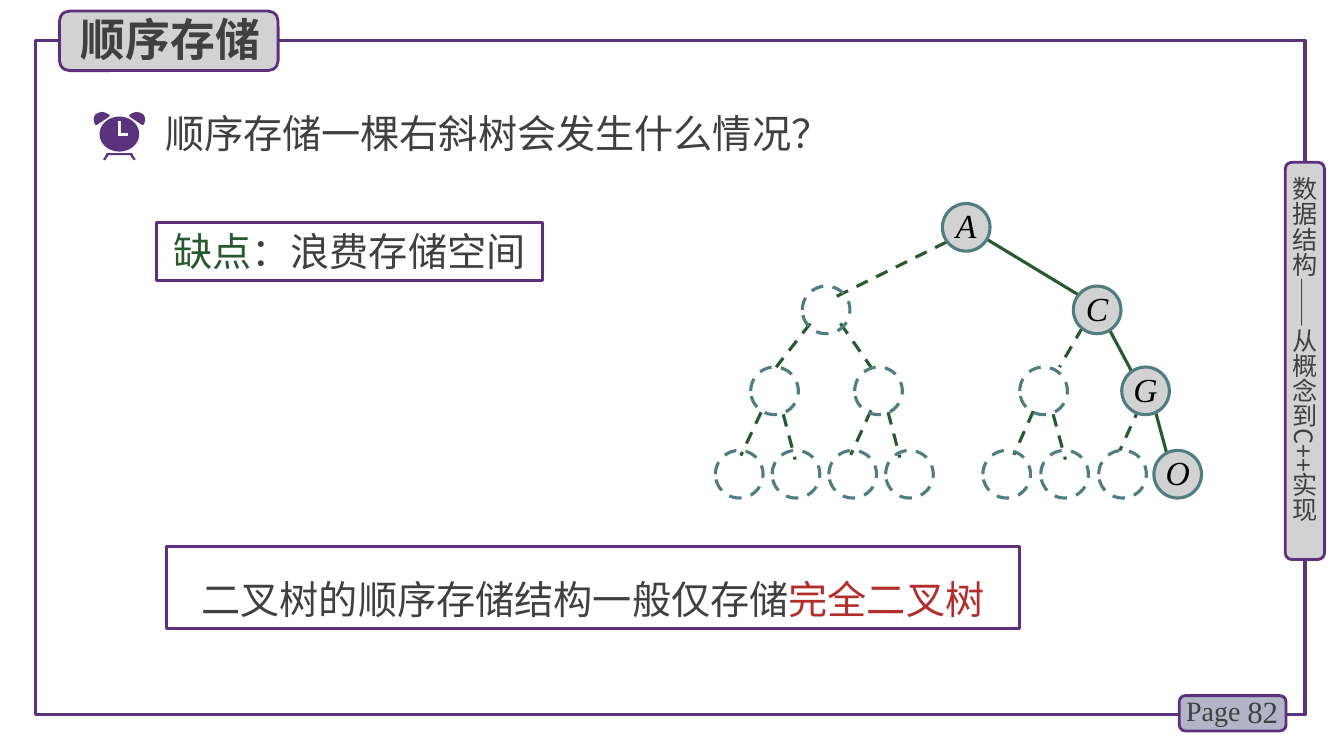
from dataclasses import dataclass
from math import cos, pi, sin

from lxml import etree
from pptx import Presentation
from pptx import util as u
from pptx.dml import color as dml_color
from pptx.enum import dml, shapes, text
from pptx.oxml import ns

COLORS = {
    "purple": "5C307D", "clock": "5A327D", "grey": "D2D2D2", "lavender": "B4B4C8",
    "dark": "404040", "red": "B42D2D", "green": "285A32", "teal": "507D7D",
    "black": "000000",
}
SANS, SERIF = "Noto Sans CJK SC", "Times New Roman"
RECT, ROUND, OVAL = (shapes.MSO_SHAPE.RECTANGLE, shapes.MSO_SHAPE.ROUNDED_RECTANGLE,
                     shapes.MSO_SHAPE.OVAL)
LEFT, CENTER, RIGHT = text.PP_ALIGN.LEFT, text.PP_ALIGN.CENTER, text.PP_ALIGN.RIGHT
TOP, MIDDLE = text.MSO_ANCHOR.TOP, text.MSO_ANCHOR.MIDDLE


@dataclass
class Box:
    """Position and size in centimetres."""
    left: float
    top: float
    width: float
    height: float

    def emu(self) -> list:
        return [u.Cm(v) for v in (self.left, self.top, self.width, self.height)]


@dataclass
class Node:
    left: float
    level: int
    label: str = ""


@dataclass
class Edge:
    x1: float
    y1: float
    x2: float
    y2: float
    dashed: bool = True


NODE_SIZE = 1.2
LEVEL_TOPS = [5.13, 7.21, 9.25, 11.35]
NODES = [
    Node(23.75, 0, "A"),
    Node(20.22, 1), Node(27.05, 1, "C"),
    Node(18.92, 2), Node(21.54, 2), Node(25.7, 2), Node(28.27, 2, "G"),
    *[Node(18.03 + 1.43 * i, 3) for i in range(4)],
    *[Node(24.77 + 1.46 * i, 3) for i in range(3)], Node(29.08, 3, "O"),
]
EDGES = [
    Edge(24.77, 5.97, 27.36, 7.54, dashed=False),
    Edge(27.97, 8.33, 28.7, 9.7, dashed=False),
    Edge(29.13, 10.41, 29.44, 11.56, dashed=False),
    Edge(23.85, 6.1, 21.08, 7.47),
    Edge(20.42, 8.15, 19.56, 9.25), Edge(21.18, 8.15, 21.95, 9.25),
    Edge(27.28, 8.25, 26.7, 9.25),
    Edge(19.18, 10.39, 18.67, 11.48), Edge(19.74, 10.44, 20.04, 11.58),
    Edge(21.95, 10.34, 21.44, 11.46), Edge(22.38, 10.39, 22.68, 11.53),
    Edge(26.04, 10.36, 25.55, 11.46), Edge(26.54, 10.44, 26.85, 11.58),
    Edge(28.73, 10.24, 28.22, 11.35),
]

# Alarm clock outlines, mirrored about the vertical axis where possible
CLOCK_X, CLOCK_Y = 3.01, 3.38
CLOCK_EAR = [(2.59, 2.82), (2.48, 2.84), (2.4, 2.89), (2.37, 2.95), (2.36, 3.02),
             (2.38, 3.1), (2.41, 3.15), (2.44, 3.15), (2.74, 2.95), (2.77, 2.9),
             (2.68, 2.85)]
CLOCK_HANDS = [(2.97, 3.05), (3.05, 3.05), (3.05, 3.35), (3.23, 3.35), (3.23, 3.43),
               (2.97, 3.43)]
CLOCK_HALF_STAND = [(2.69, 3.86), (2.62, 3.99), (2.6, 4.02), (2.64, 4.04),
                    (2.67, 4.01), (2.74, 3.91)]


def rgb(name: str) -> dml_color.RGBColor:
    return dml_color.RGBColor.from_string(COLORS[name])


def write(shape, *runs, size=28, font=SANS, bold=False, italic=False, align=LEFT,
          anchor=TOP, spacing=None, inset=None) -> None:
    """Fill a shape with one paragraph made of (text, colour) runs."""
    frame = shape.text_frame
    frame.word_wrap = True
    frame.auto_size = text.MSO_AUTO_SIZE.NONE
    frame.vertical_anchor = anchor
    if inset is not None:
        frame.margin_left = frame.margin_right = u.Cm(inset)
        frame.margin_top = frame.margin_bottom = u.Cm(inset)
    paragraph = frame.paragraphs[0]
    paragraph.alignment = align
    paragraph.line_spacing = spacing
    for words, color in runs:
        run = paragraph.add_run()
        run.text = words
        run.font.size = u.Pt(size)
        run.font.name = font
        run.font.bold, run.font.italic = bold, italic
        run.font.color.rgb = rgb(color)
        east_asian = etree.SubElement(run.font._element, ns.qn("a:ea"))
        east_asian.set("typeface", SANS)


def add_box(slide, kind, box: Box, line="purple", fill=None, width=2.25):
    shape = slide.shapes.add_shape(kind, *box.emu())
    shape.shadow.inherit = False
    if fill:
        shape.fill.solid()
        shape.fill.fore_color.rgb = rgb(fill)
    else:
        shape.fill.background()
    shape.line.color.rgb = rgb(line)
    shape.line.width = u.Pt(width)
    return shape


def add_label(slide, box: Box, *runs, **style):
    shape = slide.shapes.add_textbox(*box.emu())
    write(shape, *runs, **style)
    return shape


def add_outline(slide, *contours: list) -> None:
    points = [[(u.Cm(x), u.Cm(y)) for x, y in contour] for contour in contours]
    builder = slide.shapes.build_freeform(*points[0][0], scale=1.0)
    for i, contour in enumerate(points):
        if i:
            builder.move_to(*contour[0])
        builder.add_line_segments(contour[1:], close=True)
    shape = builder.convert_to_shape()
    shape.shadow.inherit = False
    shape.fill.solid()
    shape.fill.fore_color.rgb = rgb("clock")
    shape.line.fill.background()


def mirror(points: list) -> list:
    return [(2 * CLOCK_X - x, y) for x, y in points]


def add_clock(slide) -> None:
    face = [(CLOCK_X + 0.5 * cos(pi * i / 24), CLOCK_Y + 0.44 * sin(pi * i / 24))
            for i in range(48)]
    add_outline(slide, CLOCK_HALF_STAND + mirror(CLOCK_HALF_STAND)[::-1])
    add_outline(slide, CLOCK_EAR)
    add_outline(slide, mirror(CLOCK_EAR))
    add_outline(slide, face, CLOCK_HANDS)


def add_edge(slide, edge: Edge) -> None:
    ends = [u.Cm(v) for v in (edge.x1, edge.y1, edge.x2, edge.y2)]
    line = slide.shapes.add_connector(shapes.MSO_CONNECTOR.STRAIGHT, *ends)
    line.line.color.rgb = rgb("green")
    line.line.width = u.Pt(2.25)
    if edge.dashed:
        line.line.dash_style = dml.MSO_LINE.DASH
    etree.SubElement(line._element.spPr, ns.qn("a:effectLst"))


def add_node(slide, node: Node) -> None:
    box = Box(node.left, LEVEL_TOPS[node.level], NODE_SIZE, NODE_SIZE)
    shape = add_box(slide, OVAL, box, line="teal", fill="grey" if node.label else None)
    if node.label:
        write(shape, (node.label, "black"), size=24, font=SERIF, italic=True,
              align=CENTER, spacing=u.Pt(25), inset=0)
    else:
        shape.line.dash_style = dml.MSO_LINE.DASH


def main() -> None:
    presentation = Presentation()
    presentation.slide_width, presentation.slide_height = u.Cm(33.87), u.Cm(19.05)
    slide = presentation.slides.add_slide(presentation.slide_layouts[5])

    # Frame, page number and side label
    add_box(slide, RECT, Box(0.89, 1.02, 32, 16.99), line="clock")
    add_box(slide, ROUND, Box(29.72, 17.53, 2.69, 0.89), fill="lavender", width=2)
    add_label(slide, Box(30.66, 17.42, 1.8, 1.02), ("82", "dark"), size=22, font=SERIF,
              align=RIGHT, anchor=MIDDLE)
    add_label(slide, Box(29.64, 17.35, 1.98, 1.12), ("Page", "dark"), size=20, font=SERIF)
    add_box(slide, ROUND, Box(32.39, 4.09, 0.99, 10.01), fill="grey", width=2)
    side = add_label(slide, Box(32.49, 4.45, 0.76, 9.6),
                     ("数据结构——从概念到C++实现", "dark"), size=18, inset=0)
    side.text_frame._txBody.bodyPr.set("vert", "eaVert")

    # Question, drawback and conclusion
    add_clock(slide)
    add_label(slide, Box(3.91, 2.64, 18.44, 1.45),
              ("顺序存储一棵右斜树会发生什么情况？", "dark"))
    write(add_box(slide, RECT, Box(3.94, 5.61, 9.73, 1.45)),
          ("缺点", "green"), ("：浪费存储空间", "dark"), align=CENTER)
    write(add_box(slide, RECT, Box(4.19, 13.77, 21.51, 2.06)),
          ("二叉树的顺序存储结构一般仅存储", "dark"), ("完全二叉树", "red"),
          font=SERIF, align=CENTER, anchor=MIDDLE, spacing=1.5)

    # Right-skewed tree with its missing nodes dashed
    for edge in EDGES:
        add_edge(slide, edge)
    for node in NODES:
        add_node(slide, node)

    # Title above its badge
    badge = add_box(slide, ROUND, Box(1.5, 0.28, 5.51, 1.5), fill="grey", width=2)
    title = slide.shapes.title
    title.left, title.top, title.width, title.height = Box(1.78, 0.18, 5.21, 1.63).emu()
    write(title, ("顺序存储", "dark"), size=32, bold=True)
    badge._element.addnext(title._element)

    presentation.save("out.pptx")


if __name__ == "__main__":
    main()
